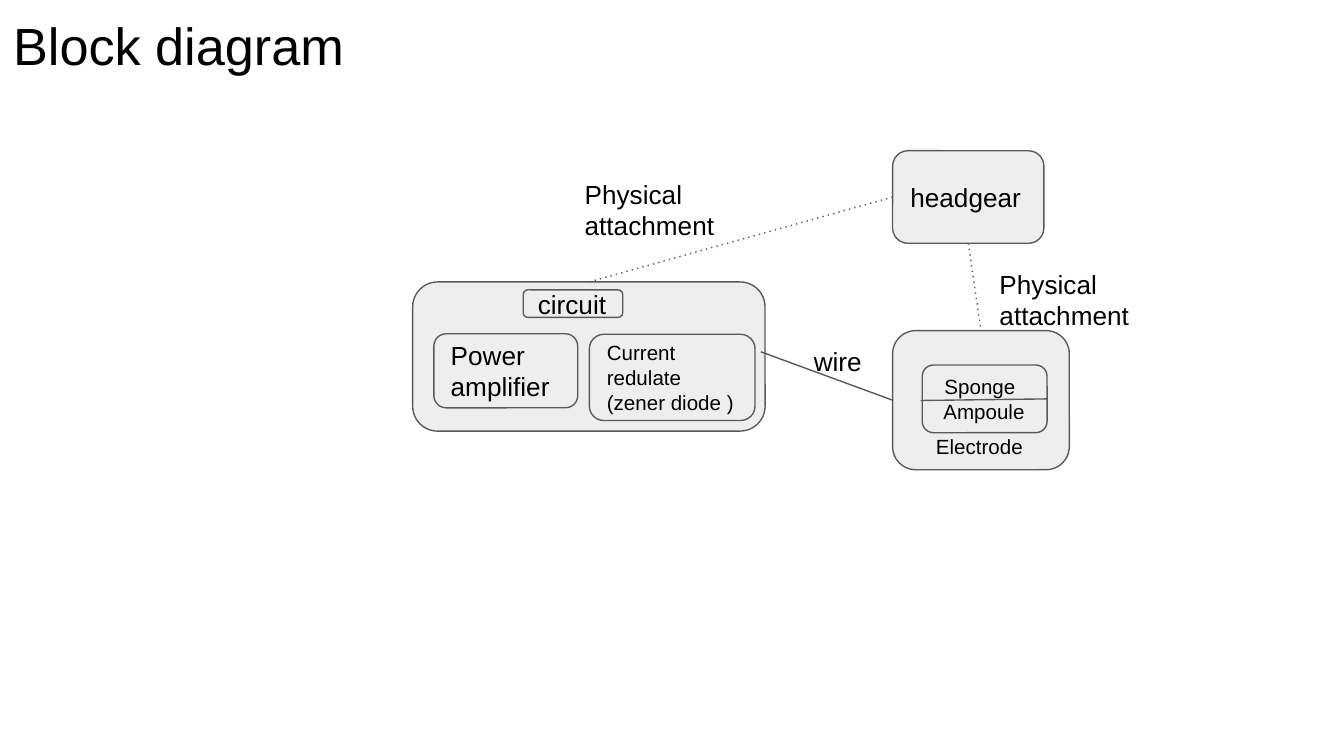
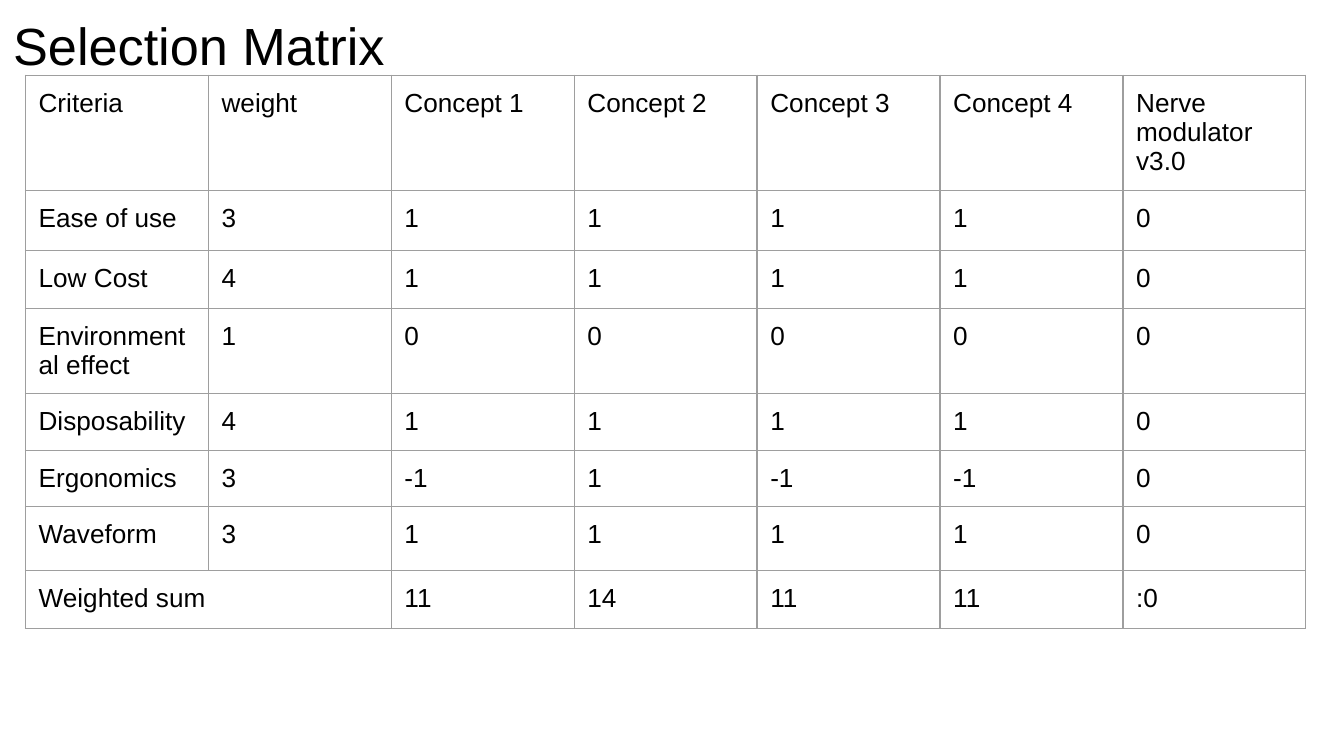
from lxml.etree import SubElement
from pptx import Presentation
from pptx.dml.color import RGBColor
from pptx.enum.dml import MSO_LINE
from pptx.enum.shapes import MSO_CONNECTOR, MSO_SHAPE
from pptx.enum.text import MSO_ANCHOR, PP_ALIGN
from pptx.oxml.ns import qn
from pptx.util import Cm, Pt

COLORS = {"text": "000000", "box": "EEEEEE", "line": "595959", "grid": "9E9E9E"}
FONT = "Arial"
INSET = Cm(0.25)
MARGINS = {f"margin_{side}": INSET for side in ("left", "top", "right", "bottom")}
CELL_MARGINS = {**MARGINS, "margin_bottom": Cm(0.15)}
TITLE, LARGE, SMALL = 28, 14, 11


def write(tf, text, size, **formats):
    for name, value in formats.items():
        setattr(tf, name, value)
    for i, line in enumerate(text.split("\n")):
        p = tf.paragraphs[0] if i == 0 else tf.add_paragraph()
        p.alignment = PP_ALIGN.LEFT
        r = p.add_run()
        r.text = line
        r.font.name = FONT
        r.font.size = Pt(size)
        r.font.color.rgb = RGBColor.from_string(COLORS["text"])


def add_text(shapes, box, text, size):
    tb = shapes.add_textbox(*map(Cm, box))
    write(tb.text_frame, text, size, word_wrap=True,
          vertical_anchor=MSO_ANCHOR.TOP, **MARGINS)


prs = Presentation()
prs.slide_width, prs.slide_height = Cm(25.4), Cm(14.29)

# Slides with their titles
slides = []
for title, width, height in [("Block diagram", 6.88, 1.27), ("Selection Matrix", 23.67, 1.6)]:
    s = prs.slides.add_slide(prs.slide_layouts[6])
    add_text(s.shapes, (0, 0, width, height), title, TITLE)
    slides.append(s)
diagram, matrix = slides

# Blocks of the diagram
circuit_group = diagram.shapes.add_group_shape().shapes
electrode_group = diagram.shapes.add_group_shape().shapes
blocks = {}
for name, shapes, box, text, size in [
    ("circuit", circuit_group, (7.8, 5.33, 6.66, 2.82), "", LARGE),
    ("label", circuit_group, (9.89, 5.48, 1.88, 0.52), "circuit", LARGE),
    ("regulator", circuit_group, (11.14, 6.32, 3.13, 1.63),
     "Current redulate (zener diode )", SMALL),
    ("amplifier", circuit_group, (8.2, 6.31, 2.72, 1.4), "Power amplifier", LARGE),
    ("headgear", diagram.shapes, (16.87, 2.85, 2.86, 1.75), "headgear", LARGE),
    ("electrode", electrode_group, (16.87, 6.25, 3.34, 2.63), "", SMALL),
    ("layers", electrode_group, (17.43, 6.9, 2.36, 1.28), " Sponge\n Ampoule", SMALL),
]:
    sp = shapes.add_shape(MSO_SHAPE.ROUNDED_RECTANGLE, *map(Cm, box))
    sp.shadow.inherit = False
    sp.fill.solid()
    sp.fill.fore_color.rgb = RGBColor.from_string(COLORS["box"])
    sp.line.color.rgb = RGBColor.from_string(COLORS["line"])
    sp.line.width = Pt(0.75)
    if text:
        write(sp.text_frame, text, size, word_wrap=True,
              vertical_anchor=MSO_ANCHOR.MIDDLE, **MARGINS)
    blocks[name] = sp

# Links: an end is a block with its side, or a free point
TOP, LEFT, BOTTOM, RIGHT = range(4)
for shapes, start, end, dotted in [
    (diagram.shapes, (14.38, 6.65), ("electrode", LEFT), False),
    (electrode_group, (17.4, 7.57), ("layers", RIGHT), False),
    (diagram.shapes, ("headgear", BOTTOM), ("electrode", TOP), True),
    (diagram.shapes, ("headgear", LEFT), ("circuit", TOP), True),
]:
    x, y = (0, 0) if start[0] in blocks else start
    c = shapes.add_connector(MSO_CONNECTOR.STRAIGHT, Cm(x), Cm(y), Cm(x), Cm(y))
    if start[0] in blocks:
        c.begin_connect(blocks[start[0]], start[1])
    c.end_connect(blocks[end[0]], end[1])
    c.line.color.rgb = RGBColor.from_string(COLORS["line"])
    c.line.width = Pt(0.75)
    if dotted:
        c.line.dash_style = MSO_LINE.ROUND_DOT
        c._element.spPr.find(".//" + qn("a:prstDash")).set("val", "dot")
    SubElement(c._element.spPr, qn("a:effectLst"))

# Labels of the diagram
for shapes, box, text, size in [
    (diagram.shapes, (15.13, 6.27, 1.47, 0.51), "wire", LARGE),
    (electrode_group, (17.44, 7.97, 2.72, 0.91), "Electrode", SMALL),
    (diagram.shapes, (10.8, 3.12, 3.81, 0.51), "Physical attachment", LARGE),
    (diagram.shapes, (18.64, 4.82, 3.81, 0.51), "Physical attachment", LARGE),
]:
    add_text(shapes, box, text, size)

# Selection matrix
rows = [
    (2.17, ["Criteria", "weight", "Concept 1", "Concept 2", "Concept 3", "Concept 4",
            "Nerve modulator v3.0"]),
    (1.14, ["Ease of use", "3", "1", "1", "1", "1", "0"]),
    (1.09, ["Low Cost", "4", "1", "1", "1", "1", "0"]),
    (1.61, ["Environmental effect", "1", "0", "0", "0", "0", "0"]),
    (1.07, ["Disposability", "4", "1", "1", "1", "1", "0"]),
    (1.07, ["Ergonomics", "3", "-1", "1", "-1", "-1", "0"]),
    (1.21, ["Waveform", "3", "1", "1", "1", "1", "0"]),
    (1.09, ["Weighted sum", "", "11", "14", "11", "11", ":0"]),
]
table_width = 24.2
n_cols = len(rows[0][1])
table = matrix.shapes.add_table(len(rows), n_cols, Cm(0.48), Cm(1.42), Cm(table_width),
                                Cm(sum(height for height, _ in rows))).table
table.first_row = table.horz_banding = False
for i, (height, texts) in enumerate(rows):
    table.rows[i].height = Cm(height)
    for j, text in enumerate(texts):
        cell = table.cell(i, j)
        for name, value in CELL_MARGINS.items():
            setattr(cell, name, value)
        if text:
            write(cell.text_frame, text, LARGE)
        tcPr = cell._tc.get_or_add_tcPr()
        for edge in ("lnL", "lnR", "lnT", "lnB"):
            ln = SubElement(tcPr, qn(f"a:{edge}"), w=str(Pt(0.75)))
            SubElement(SubElement(ln, qn("a:solidFill")), qn("a:srgbClr"), val=COLORS["grid"])
        cell.fill.background()
table.cell(len(rows) - 1, 0).merge(table.cell(len(rows) - 1, 1))

prs.save("out.pptx")
